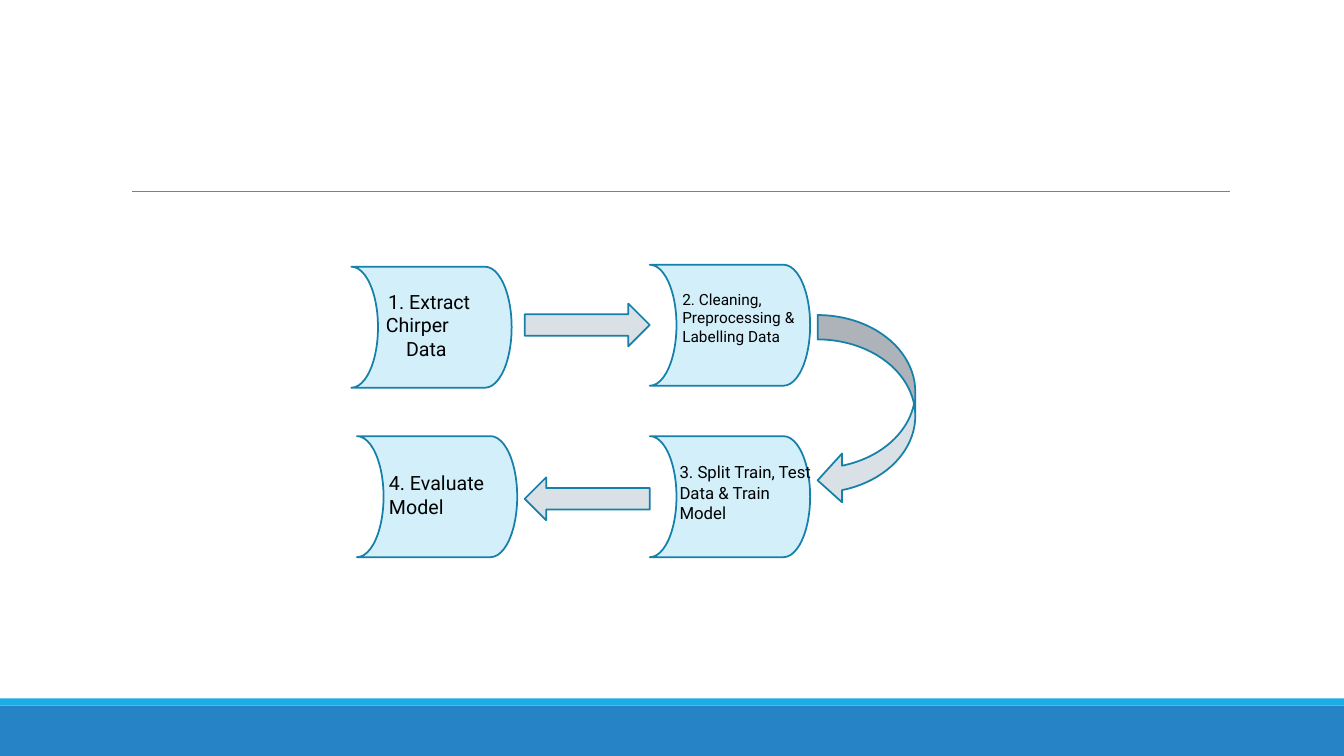
from dataclasses import dataclass
from pptx import Presentation
from pptx.dml.color import RGBColor as Rgb
from pptx.enum.shapes import MSO_CONNECTOR as Connector, MSO_SHAPE as Preset
from pptx.enum.text import PP_ALIGN as Align
from pptx.oxml.ns import qn
from pptx.util import Cm, Pt


@dataclass(frozen=True)
class Theme:
    bar: str = "2683C6"
    stripe: str = "1CADE4"
    rule: str = "808080"
    step: str = "D2EFFA"
    arrow: str = "D9E0E6"
    outline: str = "1580A9"
    text: str = "000000"
    font: str = "Roboto"
    large: int = 14
    medium: int = 12
    small: int = 11
    outline_width: float = 1.25
    rule_width: float = 0.5


@dataclass(frozen=True)
class Box:
    left: float
    top: float
    width: float
    height: float

    def inner(self, left, top, width, height):
        return Box(self.left + left, self.top + top, width, height)

    def lengths(self):
        return Cm(self.left), Cm(self.top), Cm(self.width), Cm(self.height)


THEME = Theme()
PAGE = Box(0, 0, 33.86, 19.05)


def add_preset(page, preset, box, fill, outline=None):
    shape = page.shapes.add_shape(preset, *box.lengths())
    shape.shadow.inherit = False
    shape.fill.solid()
    shape.fill.fore_color.rgb = Rgb.from_string(fill)
    if outline:
        shape.line.color.rgb = Rgb.from_string(outline)
        shape.line.width = Pt(THEME.outline_width)
    else:
        shape.line.fill.background()
    return shape


def add_label(page, box, lines, size):
    frame = page.shapes.add_textbox(*box.lengths()).text_frame
    frame.word_wrap = True
    for index, line in enumerate(lines):
        para = frame.add_paragraph() if index else frame.paragraphs[0]
        para.text = line
        para.alignment = Align.LEFT
        para.font.size = Pt(size)
        para.font.name = THEME.font
        para.font.color.rgb = Rgb.from_string(THEME.text)
    return frame


def draw_header_rule(page, box):
    rule = page.shapes.add_connector(
        Connector.STRAIGHT, Cm(box.left), Cm(box.top),
        Cm(box.left + box.width), Cm(box.top))
    rule.line.color.rgb = Rgb.from_string(THEME.rule)
    rule.line.width = Pt(THEME.rule_width)
    properties = rule._element.spPr
    properties.append(properties.makeelement(qn("a:effectLst"), {}))


def draw_footer(page, box):
    stripe = 0.18
    add_preset(page, Preset.RECTANGLE,
               box.inner(0, stripe, box.width, box.height - stripe), THEME.bar)
    add_preset(page, Preset.RECTANGLE,
               box.inner(0, 0, box.width, stripe), THEME.stripe)


def draw_flow(page, box):
    # Steps: place in the flow, label place in the step, size, lines
    right, lower = 7.52, 4.32
    steps = [
        ((0, 0.05), (0.11, 0.45, 3.71, 2.06), THEME.large,
         ["1. Extract", "Chirper\vData"]),
        ((right, 0), (0.57, 0.51, 3.71, 2.13), THEME.small,
         ["2. Cleaning,", "Preprocessing & Labelling Data"]),
        ((right, lower), (0.5, 0.53, 3.86, 1.8), THEME.medium,
         ["3. Split Train, Test Data & Train Model"]),
        ((0.14, lower), (0.56, 0.76, 3.71, 1.45), THEME.large,
         ["4. Evaluate Model"]),
    ]
    labels = []
    for place, label, size, lines in steps:
        step = box.inner(*place, 4.04, 3.05)
        drum = add_preset(page, Preset.FLOWCHART_STORED_DATA, step,
                          THEME.step, THEME.outline)
        drum.rotation = 180
        labels.append(add_label(page, step.inner(*label), lines, size))

    # First label: centred heading, then a hanging second paragraph
    heading, subject = labels[0].paragraphs
    heading.alignment = Align.CENTER
    indents = subject._p.get_or_add_pPr()
    indents.set("marL", str(Cm(1.02)))
    indents.set("indent", str(Cm(-0.51)))

    # Arrows from step to step
    for preset, place in [
        (Preset.RIGHT_ARROW, (4.37, 0.98, 3.15, 1.08)),
        (Preset.CURVED_LEFT_ARROW, (11.75, 1.27, 2.46, 4.78)),
        (Preset.LEFT_ARROW, (4.37, 5.36, 3.15, 1.08)),
    ]:
        add_preset(page, preset, box.inner(*place), THEME.arrow, THEME.outline)


deck = Presentation()
deck.slide_width, deck.slide_height = Cm(PAGE.width), Cm(PAGE.height)
page = deck.slides.add_slide(deck.slide_layouts[6])
draw_footer(page, PAGE.inner(0, 17.6, PAGE.width, 1.45))
draw_header_rule(page, PAGE.inner(3.33, 4.82, 27.66, 0))
draw_flow(page, PAGE.inner(8.85, 6.67, 14.21, 7.35))
deck.save("out.pptx")
